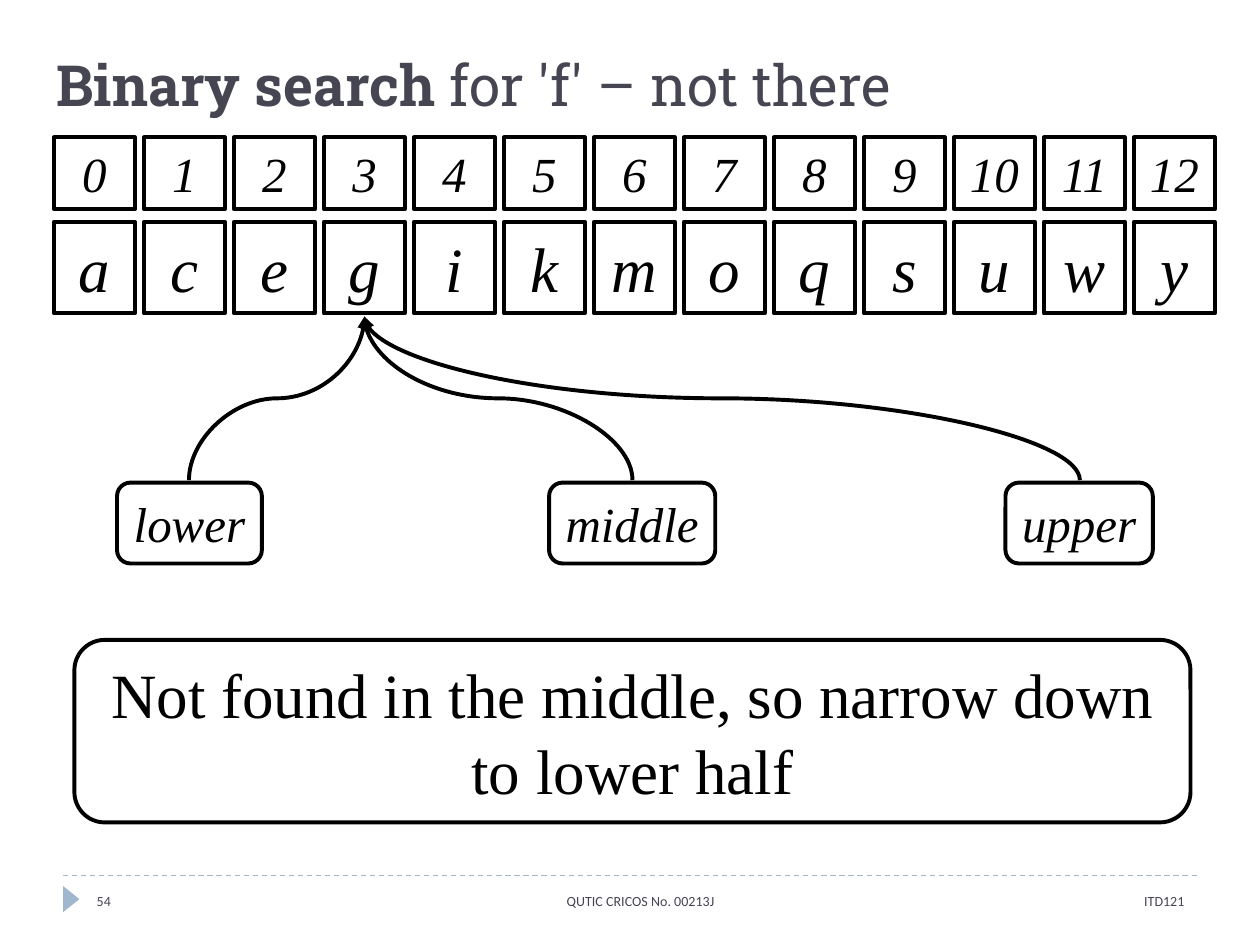
from dataclasses import dataclass

from pptx import Presentation
from pptx.dml.color import RGBColor
from pptx.enum.dml import MSO_LINE
from pptx.enum.shapes import MSO_CONNECTOR, MSO_SHAPE
from pptx.enum.text import MSO_ANCHOR as Anchor, PP_ALIGN as Align
from pptx.oxml.ns import qn
from pptx.util import Cm, Pt
from lxml.etree import SubElement

COLORS = {"ink": "000000", "title": "464653", "accent": "9FB8CD"}
SERIF, SLAB, SANS = "Times New Roman", "Roboto Slab", "Calibri"


@dataclass
class Box:
    """Position and size in centimetres."""
    x: float
    y: float
    w: float
    h: float

    def emu(self) -> tuple:
        return Cm(self.x), Cm(self.y), Cm(self.w), Cm(self.h)


@dataclass
class Row:
    values: list
    y: float
    h: float
    size: int


@dataclass
class Pointer:
    name: str
    box: Box
    tail_x: float


@dataclass
class Footer:
    text: str
    x: float
    w: float
    align: Align


def color(name: str) -> RGBColor:
    return RGBColor.from_string(COLORS[name])


def style_run(r, font: str, size: float, name: str, bold=False, italic=False) -> None:
    f = r.font
    f.name, f.size, f.bold, f.italic = font, Pt(size), bold, italic
    f.color.rgb = color(name)


def add_outlined(slide, kind, box: Box, text: str, size: int, italic=True, wrap=True):
    sp = slide.shapes.add_shape(kind, *box.emu())
    sp.shadow.inherit = False
    sp.fill.background()
    sp.line.color.rgb = color("ink")
    sp.line.width = Pt(2.25)
    tf = sp.text_frame
    tf.word_wrap = wrap
    tf.vertical_anchor = Anchor.MIDDLE
    tf.text = text
    p = tf.paragraphs[0]
    p.alignment = Align.CENTER
    style_run(p.runs[0], SERIF, size, "ink", italic=italic)
    return sp


def add_text(slide, box: Box, anchor: Anchor, align: Align):
    tf = slide.shapes.add_textbox(*box.emu()).text_frame
    tf.word_wrap = True
    tf.vertical_anchor = anchor
    p = tf.paragraphs[0]
    p.alignment = align
    return p


def add_line(slide, kind, x1: float, y1: float, x2: float, y2: float, name: str, width: float):
    line = slide.shapes.add_connector(kind, Cm(x1), Cm(y1), Cm(x2), Cm(y2))
    line.line.color.rgb = color(name)
    line.line.width = Pt(width)
    SubElement(line._element.spPr, qn("a:effectLst"))
    return line


def add_curved_arrow(slide, x1: float, y1: float, x2: float, y2: float) -> None:
    """S-curve that leaves and arrives vertically: a turned horizontal curve."""
    cx, cy = (x1 + x2) / 2, (y1 + y2) / 2
    half_w, half_h = abs(y1 - y2) / 2, abs(x1 - x2) / 2
    side = 1 if x2 > x1 else -1
    line = add_line(slide, MSO_CONNECTOR.CURVE, cx - side * half_w, cy - half_h,
                    cx + side * half_w, cy + half_h, "ink", 2.25)
    degrees = 270 if side > 0 else 90
    sp_pr = line._element.spPr
    sp_pr.find(qn("a:xfrm")).set("rot", str(degrees * 60000))
    SubElement(sp_pr.find(qn("a:ln")), qn("a:tailEnd")).set("type", "triangle")


prs = Presentation()
prs.slide_width, prs.slide_height = Cm(25.4), Cm(19.05)
s = prs.slides.add_slide(prs.slide_layouts[6])

# Footer rule, marker and texts
rule = add_line(s, MSO_CONNECTOR.STRAIGHT, 1.27, 17.65, 24.13, 17.65, "accent", 0.75)
rule.line.dash_style = MSO_LINE.DASH
marker = s.shapes.add_shape(MSO_SHAPE.ISOSCELES_TRIANGLE, *Box(1.17, 17.96, 0.53, 0.33).emu())
marker.rotation = 90
marker.shadow.inherit = False
marker.fill.solid()
marker.fill.fore_color.rgb = color("accent")
marker.line.fill.background()

FOOTERS = [
    Footer("ITD121", 17.78, 6.35, Align.RIGHT),
    Footer("QUTIC CRICOS No. 00213J", 8.05, 9.73, Align.CENTER),
    Footer("54", 1.7, 5.51, Align.LEFT),
]
for footer in FOOTERS:
    p = add_text(s, Box(footer.x, 17.65, footer.w, 1.02), Anchor.MIDDLE, footer.align)
    p.text = footer.text
    style_run(p.runs[0], SANS, 8, "title")

# Title
p = add_text(s, Box(0.89, 0.91, 22.86, 1.6), Anchor.BOTTOM, Align.LEFT)
for text, bold in [("Binary search ", True), ("for 'f' – not there", False)]:
    r = p.add_run()
    r.text = text
    style_run(r, SLAB, 32.4, "title", bold=bold)

# Array: letters with their indexes above
LETTERS = list("acegikmoqsuwy")
LEFT, CELL_W = 1.09, 1.63
PITCH = (22.86 - LEFT) / (len(LETTERS) - 1)
ROWS = [
    Row(LETTERS, 4.47, 1.85, 36),
    Row([str(i) for i in range(len(LETTERS))], 2.77, 1.45, 28),
]
for row in ROWS:
    for i, value in enumerate(row.values):
        cell = Box(LEFT + i * PITCH, row.y, CELL_W, row.h)
        add_outlined(s, MSO_SHAPE.RECTANGLE, cell, value, row.size)

# Pointers, all aimed at the cell holding "g"
TARGET_X = LEFT + LETTERS.index("g") * PITCH + CELL_W / 2
POINTERS = [
    Pointer("lower", Box(2.36, 9.73, 2.92, 1.63), 3.81),
    Pointer("middle", Box(11.07, 9.73, 3.35, 1.63), 12.75),
    Pointer("upper", Box(20.27, 9.73, 2.97, 1.63), 21.77),
]
for ptr in POINTERS:
    add_curved_arrow(s, ptr.tail_x, 9.68, TARGET_X, 6.38)
    add_outlined(s, MSO_SHAPE.FLOWCHART_ALTERNATE_PROCESS, ptr.box, ptr.name, 28, wrap=False)

# Conclusion
add_outlined(s, MSO_SHAPE.FLOWCHART_ALTERNATE_PROCESS, Box(1.5, 12.9, 22.5, 3.68),
             "Not found in the middle, so narrow down to lower half", 36, italic=False)

prs.save("out.pptx")
